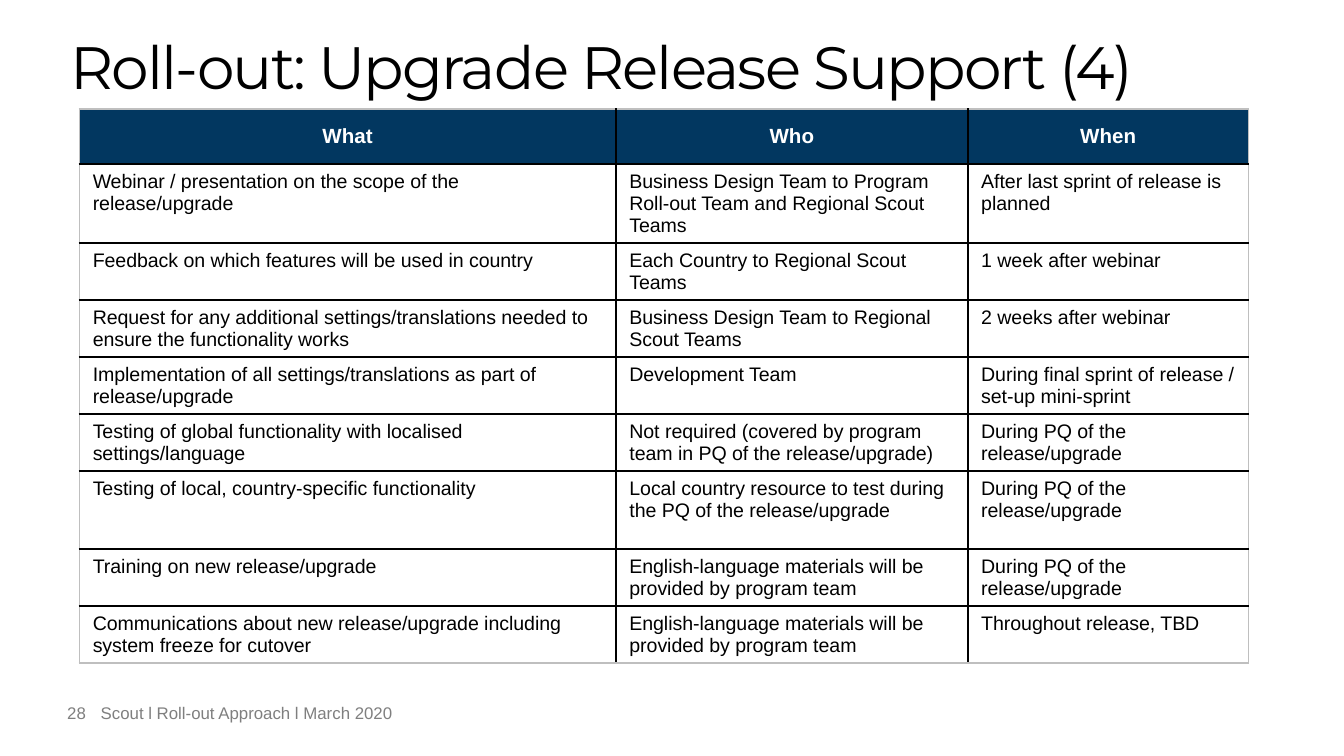
import pptx
import pptx.dml.color
import pptx.enum.text
import pptx.oxml.ns
import pptx.util
from lxml import etree

Pt = pptx.util.Pt
Anchor = pptx.enum.text.MSO_ANCHOR
Align = pptx.enum.text.PP_ALIGN

BLACK, WHITE, NAVY = "000000", "FFFFFF", "023760"
GREY, EDGE = "7F7F7F", "BFBFBF"

HEADER = ("What", "Who", "When")
ACTIVITIES = [
    ("Webinar / presentation on the scope of the release/upgrade",
     "Business Design Team to Program Roll-out Team and Regional Scout Teams",
     "After last sprint of release is planned"),
    ("Feedback on which features will be used in country",
     "Each Country to Regional Scout Teams",
     "1 week after webinar"),
    ("Request for any additional settings/translations needed to ensure "
     "the functionality works",
     "Business Design Team to Regional Scout Teams",
     "2 weeks after webinar"),
    ("Implementation of all settings/translations as part of release/upgrade",
     "Development Team",
     "During final sprint of release / set-up mini-sprint"),
    ("Testing of global functionality with localised settings/language",
     "Not required (covered by program team in PQ of the release/upgrade)",
     "During PQ of the release/upgrade"),
    ("Testing of local, country-specific functionality",
     "Local country resource to test during the PQ of the release/upgrade",
     "During PQ of the release/upgrade"),
    ("Training on new release/upgrade",
     "English-language materials will be provided by program team",
     "During PQ of the release/upgrade"),
    ("Communications about new release/upgrade including system freeze "
     "for cutover",
     "English-language materials will be provided by program team",
     "Throughout release, TBD"),
]
COLUMN_WIDTHS = (287.5, 188.5, 150.5)
TWO_LINES, THREE_LINES = 30.5, 42
ROW_HEIGHTS = [29.7, THREE_LINES] + [TWO_LINES] * 4 + [THREE_LINES] + [TWO_LINES] * 2


def rgb(value):
    return pptx.dml.color.RGBColor.from_string(value)


class SlideBuilder:
    """Holds the text style and the current slide."""

    body_font = "Arial"
    title_font = "Montserrat"

    def __init__(self, deck):
        self.page = deck.slides.add_slide(deck.slide_layouts[5])

    def style(self, para, size, color, font=None, bold=False):
        para.font.name = font or self.body_font
        para.font.size = Pt(size)
        para.font.bold = bold
        para.font.color.rgb = rgb(color)

    def frame(self, box, text, anchor):
        frame = box.text_frame
        frame.word_wrap = True
        frame.auto_size = pptx.enum.text.MSO_AUTO_SIZE.NONE
        frame.vertical_anchor = anchor
        frame.margin_left = frame.margin_right = 0
        frame.margin_top = frame.margin_bottom = 0
        frame.text = text
        para = frame.paragraphs[0]
        para.alignment = Align.LEFT
        return para

    def title(self, text, left, top, width, height):
        box = self.page.shapes.title
        box.left, box.top = Pt(left), Pt(top)
        box.width, box.height = Pt(width), Pt(height)
        para = self.frame(box, text, Anchor.MIDDLE)
        para.line_spacing = 0.9
        self.style(para, 32, BLACK, self.title_font)
        # Tighten the letters by one point
        para.runs[0].font._element.set("spc", "-100")

    def label(self, text, left, top, width, height):
        box = self.page.shapes.add_textbox(Pt(left), Pt(top), Pt(width), Pt(height))
        self.style(self.frame(box, text, Anchor.TOP), 9, GREY)

    def border(self, cell, side, color):
        qn = pptx.oxml.ns.qn
        line = etree.SubElement(cell._tc.get_or_add_tcPr(), qn("a:" + side),
                                w=str(Pt(1)))
        fill = etree.SubElement(line, qn("a:solidFill"))
        etree.SubElement(fill, qn("a:srgbClr"), val=color)

    def table(self, rows, left, top, widths, heights):
        table = self.page.shapes.add_table(
            len(rows), len(widths), Pt(left), Pt(top),
            Pt(sum(widths)), Pt(sum(heights))).table
        table.horz_banding = False
        for column, width in zip(table.columns, widths):
            column.width = Pt(width)
        for row, height in zip(table.rows, heights):
            row.height = Pt(height)
        last_row, last_column = len(rows) - 1, len(widths) - 1
        for r, texts in enumerate(rows):
            for c, text in enumerate(texts):
                cell = table.cell(r, c)
                # Grey around the outside, black between cells
                for side, outer in (("lnL", c == 0), ("lnR", c == last_column),
                                    ("lnT", r == 0), ("lnB", r == last_row)):
                    self.border(cell, side, EDGE if outer else BLACK)
                cell.text = text
                para = cell.text_frame.paragraphs[0]
                if r == 0:
                    cell.fill.solid()
                    cell.fill.fore_color.rgb = rgb(NAVY)
                    cell.vertical_anchor = Anchor.MIDDLE
                    para.alignment = Align.CENTER
                    self.style(para, 11, WHITE, bold=True)
                else:
                    cell.fill.background()
                    self.style(para, 10.5, BLACK)


def main():
    deck = pptx.Presentation()
    deck.slide_width, deck.slide_height = Pt(720), Pt(405)
    builder = SlideBuilder(deck)

    # Title
    builder.title("Roll-out: Upgrade Release Support (4)", 37.5, 26.5, 645, 22.5)

    # Activity table
    builder.table([HEADER] + ACTIVITIES, 42.5, 58.3, COLUMN_WIDTHS, ROW_HEIGHTS)

    # Footer
    builder.label("28", 36, 376.5, 18, 18)
    builder.label("Scout l Roll-out Approach l March 2020", 54, 376.5, 299, 18)

    deck.save("out.pptx")


if __name__ == "__main__":
    main()
